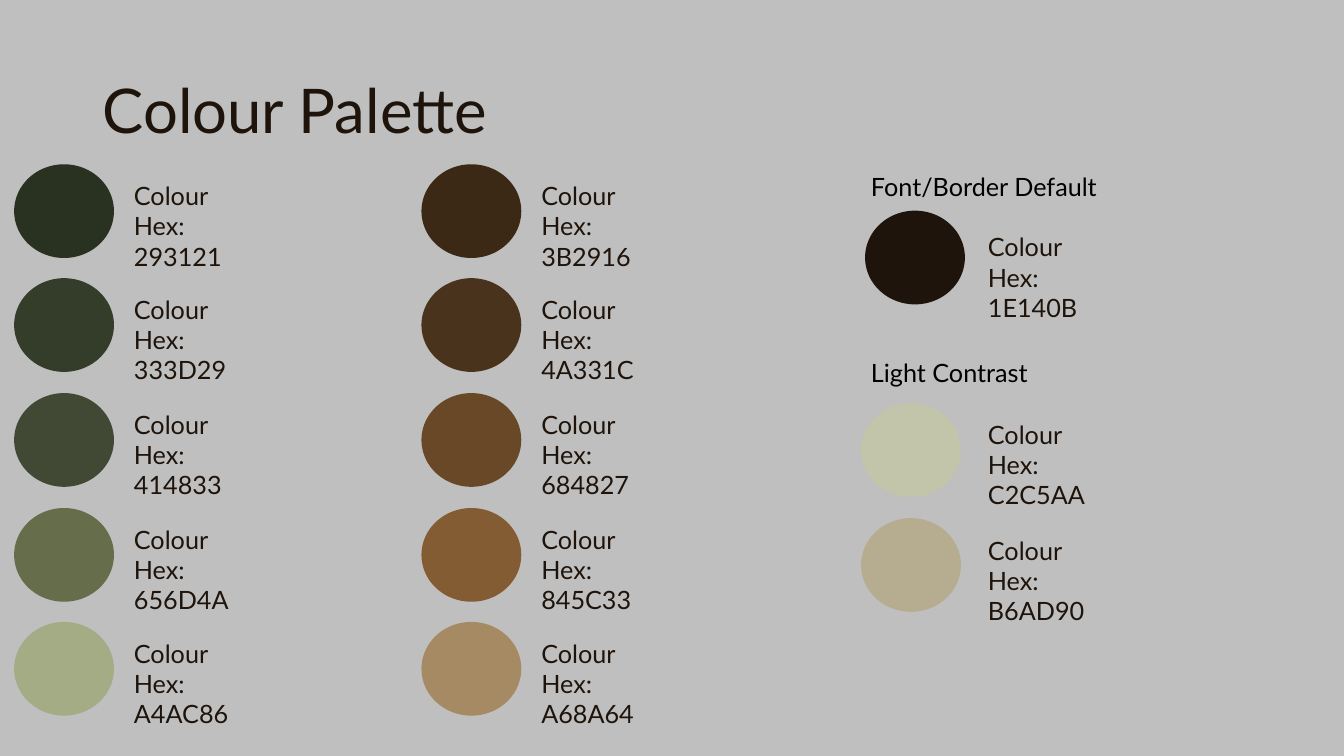
from dataclasses import dataclass

from pptx import Presentation
from pptx.dml.color import RGBColor
from pptx.enum.shapes import MSO_SHAPE
from pptx.enum.text import MSO_ANCHOR, MSO_AUTO_SIZE
from pptx.slide import Slide
from pptx.text.text import TextFrame
from pptx.util import Emu, Pt

OVAL = MSO_SHAPE.OVAL
MIDDLE = MSO_ANCHOR.MIDDLE
GROW = MSO_AUTO_SIZE.SHAPE_TO_FIT_TEXT
SCALE = 9144  # EMU per px, 100 px to the inch


@dataclass(frozen=True)
class Theme:
    back: str = "BFBFBF"
    ink: str = "1E140B"
    black: str = "000000"
    font: str = "Lato"
    title: int = 44
    body: int = 18


@dataclass(frozen=True)
class Swatch:
    """A colour disc with its label placed dx, dy from the disc's corner."""
    code: str
    x: int
    y: int
    dx: int = 109
    dy: int = 11


@dataclass(frozen=True)
class Heading:
    text: str
    y: int


THEME = Theme()
TOP, PITCH = 163, 113.5
COLUMNS = {
    14: ("293121", "333D29", "414833", "656D4A", "A4AC86"),
    418: ("3B2916", "4A331C", "684827", "845C33", "A68A64"),
}
SWATCHES = [
    Swatch(code, x, round(TOP + row * PITCH))
    for x, codes in COLUMNS.items()
    for row, code in enumerate(codes)
] + [
    Swatch("1E140B", 858, 209, 112, 16),
    Swatch("C2C5AA", 854, 400, 116),
    Swatch("B6AD90", 854, 514, 116, 12),
]
HEADINGS = [Heading("Font/Border Default", 165), Heading("Light Contrast", 350)]


def px(n: int) -> Emu:
    return Emu(n * SCALE)


def add_text(slide: Slide, text: str, x: int, y: int, w: int, h: int,
             size: int = THEME.body, color: str = THEME.ink) -> TextFrame:
    box = slide.shapes.add_textbox(px(x), px(y), px(w), px(h))
    frame = box.text_frame
    frame.word_wrap = True
    frame.text = text
    for para in frame.paragraphs:
        for run in para.runs:
            run.font.name = THEME.font
            run.font.size = Pt(size)
            run.font.color.rgb = RGBColor.from_string(color)
    return frame


def add_title(slide: Slide) -> None:
    frame = add_text(slide, "Colour Palette", 92, 40, 1150, 145, THEME.title)
    frame.vertical_anchor = MIDDLE
    frame.paragraphs[0].line_spacing = 0.9


def add_swatch(slide: Slide, item: Swatch) -> None:
    disc = slide.shapes.add_shape(OVAL, px(item.x), px(item.y), px(99), px(93))
    disc.shadow.inherit = False
    disc.fill.solid()
    disc.fill.fore_color.rgb = RGBColor.from_string(item.code)
    disc.line.fill.background()
    label = add_text(slide, f"Colour Hex:\n{item.code}",
                     item.x + item.dx, item.y + item.dy, 145, 71)
    label.auto_size = GROW


def add_heading(slide: Slide, item: Heading) -> None:
    frame = add_text(slide, item.text, 854, item.y, 262, 40, color=THEME.black)
    frame.auto_size = GROW


def main() -> None:
    deck = Presentation()
    deck.slide_width, deck.slide_height = px(1333), px(750)
    slide = deck.slides.add_slide(deck.slide_layouts[6])
    fill = slide.background.fill
    fill.solid()
    fill.fore_color.rgb = RGBColor.from_string(THEME.back)
    add_title(slide)
    for swatch in SWATCHES:
        add_swatch(slide, swatch)
    for heading in HEADINGS:
        add_heading(slide, heading)
    deck.save("out.pptx")


if __name__ == "__main__":
    main()
